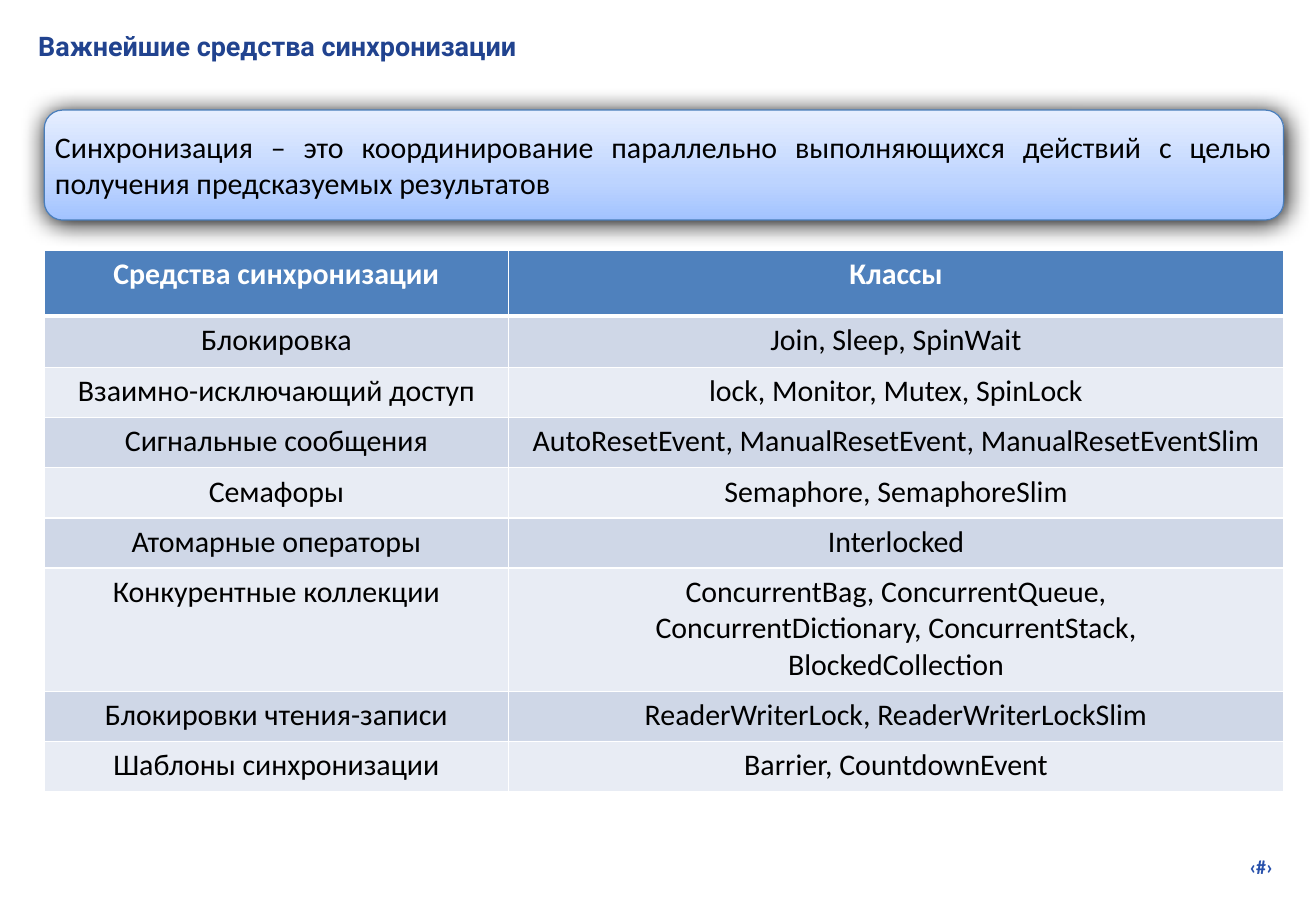
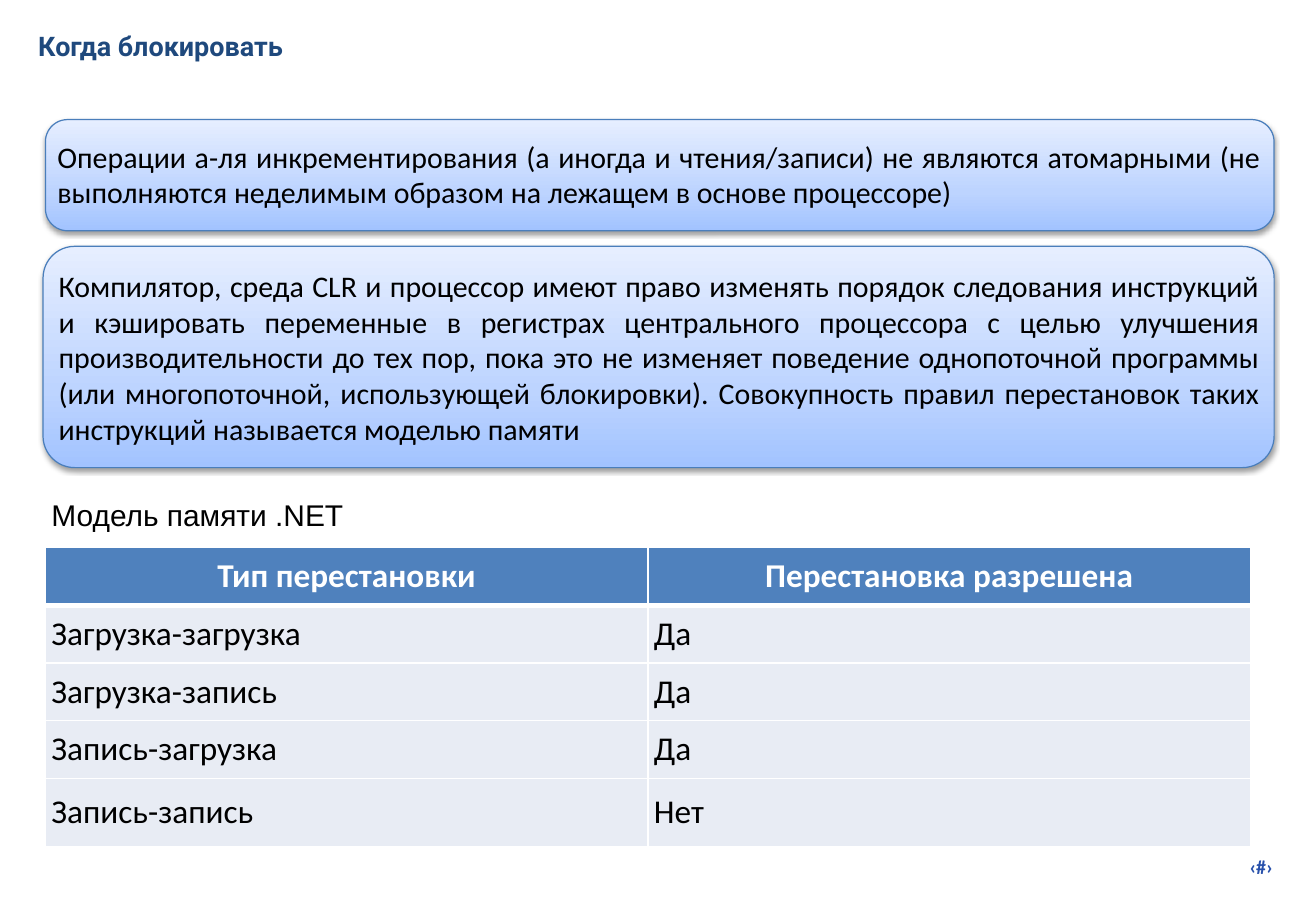
from lxml import etree
from pptx import Presentation
from pptx import util as u
from pptx.dml.color import RGBColor
from pptx.enum import shapes, text
from pptx.oxml import ns

COLORS = {
    "white": "FFFFFF", "black": "000000", "title": "21438F", "title_dark": "1F497D",
    "number": "2750AB", "outline": "4A7EBB", "header": "4F81BD",
    "band_dark": "CFD7E7", "band_light": "E8ECF4",
    "panel_bottom": "A2C3FF", "panel_middle": "BDD4FF", "panel_top": "E6EEFF",
}
PANEL_STOPS = [(0, "panel_bottom"), (35, "panel_middle"), (100, "panel_top")]
SHADOWS = {
    "glow": {"alpha": 100, "blur": 15, "distance": 0.7},
    "soft": {"alpha": 38, "blur": 3, "distance": 1.6},
}
INSET = 3.6
ALIGN = text.PP_ALIGN
ANCHOR = text.MSO_ANCHOR
STYLES = {
    "title": {"size": 16.2, "name": "Roboto", "bold": True},
    "number": {"size": 12, "name": "Calibri", "bold": True},
    "body": {"size": 18, "name": "Calibri", "bold": False},
    "caption": {"size": 18, "name": "Arial", "bold": False},
}

TOOLS = [
    ("Средства синхронизации", "Классы"),
    ("Блокировка", "Join, Sleep, SpinWait"),
    ("Взаимно-исключающий доступ", "lock, Monitor, Mutex, SpinLock"),
    ("Сигнальные сообщения", "AutoResetEvent, ManualResetEvent, ManualResetEventSlim"),
    ("Семафоры", "Semaphore, SemaphoreSlim"),
    ("Атомарные операторы", "Interlocked"),
    ("Конкурентные коллекции",
     "ConcurrentBag, ConcurrentQueue,\nConcurrentDictionary, ConcurrentStack,\nBlockedCollection"),
    ("Блокировки чтения-записи", "ReaderWriterLock, ReaderWriterLockSlim"),
    ("Шаблоны синхронизации", "Barrier, CountdownEvent"),
]
REORDERINGS = [
    ("Тип перестановки", "Перестановка разрешена"),
    ("Загрузка-загрузка", "Да"),
    ("Загрузка-запись", "Да"),
    ("Запись-загрузка", "Да"),
    ("Запись-запись", "Нет"),
]
SLIDES = [
    {
        "title": ("Важнейшие средства синхронизации", "title"),
        "panels": [{
            "text": "Синхронизация – это координирование параллельно выполняющихся действий "
                    "с целью получения предсказуемых результатов",
            "box": (26.64, 66.24, 745.92, 66.24), "text_box": (29.52, 73.44, 739.44, 51.12),
            "corner": 0.167, "shadow": "glow"}],
        "table": {
            "cells": TOOLS, "left": 26.64, "top": 150.5, "columns": [279.4, 466.5],
            "rows": [39.6, 31] + [30.24] * 4 + [74.2] + [30.24] * 2,
            "size": 18, "align": ALIGN.CENTER, "anchor": ANCHOR.TOP,
            "bands": ("band_dark", "band_light")},
    },
    {
        "title": ("Когда блокировать", "title_dark"),
        "panels": [
            {"text": "Компилятор, среда CLR и процессор имеют право изменять порядок следования "
                     "инструкций и кэшировать переменные в регистрах центрального процессора с целью "
                     "улучшения производительности до тех пор, пока это не изменяет поведение "
                     "однопоточной программы (или многопоточной, использующей блокировки). "
                     "Совокупность правил перестановок таких инструкций называется моделью памяти",
             "box": (25.92, 148.32, 740.88, 133.2), "text_box": (31.68, 156.24, 730.08, 117.36),
             "corner": 0.143, "shadow": "soft"},
            {"text": "Операции а-ля инкрементирования (а иногда и чтения/записи) не являются "
                     "атомарными (не выполняются неделимым образом на лежащем в основе процессоре)",
             "box": (27.36, 72, 739.44, 66.96), "text_box": (30.96, 79.2, 731.52, 51.12),
             "corner": 0.199, "shadow": "soft"},
        ],
        "caption": ("Модель памяти .NET", (27.36, 295.2, 184.32, 27.36)),
        "table": {
            "cells": REORDERINGS, "left": 27.36, "top": 329.76, "columns": [362.6] * 2,
            "rows": [34.7] * 4 + [41], "size": 20, "align": ALIGN.LEFT,
            "anchor": ANCHOR.MIDDLE, "bands": ("band_light", "band_light")},
    },
]


def points(values):
    return [u.Pt(value) for value in values]


def rgb(name):
    return RGBColor.from_string(COLORS[name])


def element(parent, tag, **attributes):
    child = etree.SubElement(parent, ns.qn(tag))
    for key, value in attributes.items():
        child.set(key, str(value))
    return child


def color_element(parent, name):
    return element(parent, "a:srgbClr", val=COLORS[name])


def format_paragraph(paragraph, style, color, align):
    paragraph.alignment = align
    paragraph.font.color.rgb = rgb(color)
    for key, value in style.items():
        setattr(paragraph.font, key, u.Pt(value) if key == "size" else value)


def set_margins(target):
    for side in ("left", "top", "right", "bottom"):
        setattr(target, f"margin_{side}", u.Pt(INSET))


def add_text(container, content, box, style, color="black", align=ALIGN.LEFT,
             anchor=ANCHOR.TOP, wrap=True):
    frame = container.add_textbox(*points(box)).text_frame
    frame.word_wrap = wrap
    frame.vertical_anchor = anchor
    set_margins(frame)
    frame.text = content
    format_paragraph(frame.paragraphs[0], STYLES[style], color, align)


def add_panel(slide, panel):
    group = slide.shapes.add_group_shape()
    shape = group.shapes.add_shape(shapes.MSO_SHAPE.ROUNDED_RECTANGLE, *points(panel["box"]))
    shape.adjustments[0] = panel["corner"]
    shape.line.color.rgb = rgb("outline")
    shape.line.width = u.Pt(0.75)
    shape.shadow.inherit = False
    shape.fill.gradient()
    properties = shape.element.spPr
    gradient = properties.find(ns.qn("a:gradFill"))
    for child in list(gradient):
        gradient.remove(child)
    stops = element(gradient, "a:gsLst")
    for position, name in PANEL_STOPS:
        color_element(element(stops, "a:gs", pos=position * 1000), name)
    element(gradient, "a:lin", ang=270 * 60000, scaled=0)
    settings = SHADOWS[panel["shadow"]]
    shadow = element(properties.find(ns.qn("a:effectLst")), "a:outerShdw",
                     blurRad=u.Pt(settings["blur"]), dist=u.Pt(settings["distance"]),
                     dir=90 * 60000, algn="ctr", rotWithShape=0)
    element(color_element(shadow, "black"), "a:alpha", val=settings["alpha"] * 1000)
    add_text(group.shapes, panel["text"], panel["text_box"], "body",
             align=ALIGN.JUSTIFY, anchor=ANCHOR.MIDDLE)


def add_borders(cell, row):
    properties = cell._tc.get_or_add_tcPr()
    widths = {"L": 1, "R": 1, "T": 3 if row == 1 else 1, "B": 3 if row == 0 else 1}
    for index, (side, width) in enumerate(widths.items()):
        line = element(properties, f"a:ln{side}", w=u.Pt(width))
        color_element(element(line, "a:solidFill"), "white")
        properties.insert(index, line)


def add_grid(slide, grid):
    columns, rows = grid["columns"], grid["rows"]
    box = points((grid["left"], grid["top"], sum(columns), sum(rows)))
    table = slide.shapes.add_table(len(rows), len(columns), *box).table
    for column, width in zip(table.columns, points(columns)):
        column.width = width
    for index, (row, height) in enumerate(zip(table.rows, points(rows))):
        row.height = height
        header = index == 0
        fill = "header" if header else grid["bands"][(index - 1) % 2]
        style = {**STYLES["body"], "size": grid["size"], "bold": header}
        for cell, content in zip(row.cells, grid["cells"][index]):
            cell.text = content
            cell.vertical_anchor = grid["anchor"]
            set_margins(cell)
            cell.fill.solid()
            cell.fill.fore_color.rgb = rgb(fill)
            add_borders(cell, index)
            for paragraph in cell.text_frame.paragraphs:
                format_paragraph(paragraph, style, "white" if header else "black",
                                 ALIGN.CENTER if header else grid["align"])


def add_frame(slide, title, color):
    add_text(slide.shapes, "‹#›", (601.92, 511.2, 167.76, 20.88), "number", "number", ALIGN.RIGHT)
    add_text(slide.shapes, title, (19.44, 14.4, 756, 28.8), "title", color)


def main():
    presentation = Presentation()
    presentation.slide_width, presentation.slide_height = points((792, 540))
    for content in SLIDES:
        slide = presentation.slides.add_slide(presentation.slide_layouts[6])
        add_frame(slide, *content["title"])
        add_grid(slide, content["table"])
        for panel in content["panels"]:
            add_panel(slide, panel)
        if "caption" in content:
            add_text(slide.shapes, *content["caption"], "caption", wrap=False)
    presentation.save("out.pptx")


if __name__ == "__main__":
    main()
